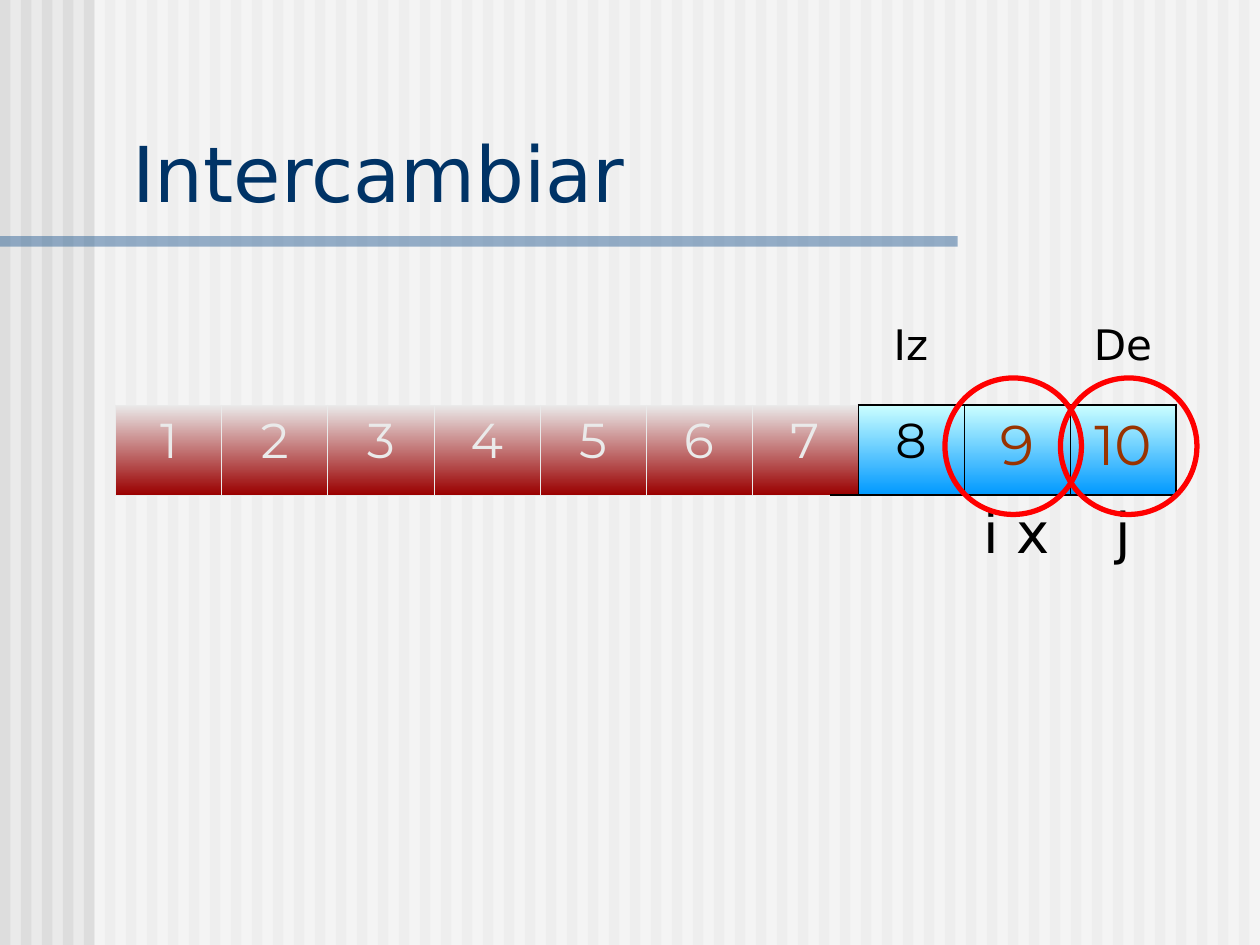
import pptx
import pptx.dml.color
import pptx.enum.shapes
import pptx.enum.text
import pptx.oxml
import pptx.oxml.ns
import pptx.util

Pt = pptx.util.Pt
RGBColor = pptx.dml.color.RGBColor
MSO_SHAPE = pptx.enum.shapes.MSO_SHAPE
PP_ALIGN = pptx.enum.text.PP_ALIGN
MSO_ANCHOR = pptx.enum.text.MSO_ANCHOR
MSO_AUTO_SIZE = pptx.enum.text.MSO_AUTO_SIZE
qn = pptx.oxml.ns.qn

PAPER = RGBColor(0xEA, 0xEA, 0xEA)
STRIPE = RGBColor(0xDD, 0xDD, 0xDD)
WHITE = RGBColor(0xFF, 0xFF, 0xFF)
BLACK = RGBColor(0x00, 0x00, 0x00)
NAVY = RGBColor(0x00, 0x33, 0x66)
RULE = RGBColor(0x33, 0x66, 0x99)
DARK_RED = RGBColor(0x9A, 0x00, 0x00)
RED = RGBColor(0xFF, 0x00, 0x00)
RUST = RGBColor(0x99, 0x33, 0x00)
PALE_CYAN = RGBColor(0xCC, 0xFF, 0xFF)
SKY = RGBColor(0x00, 0x99, 0xFF)

TEXT_FONT = "DejaVu Sans"
NUMBER_FONT = "Montserrat"
NO_STYLE = "{2D5ABB26-0587-4C30-8999-92F81FD0307C}"
LIGHT, THIN, THICK = (PAPER, 0.45), (BLACK, 0.45), (BLACK, 1.08)


class Deck:
    """Holds the style and the current slide."""

    def __init__(self, width, height):
        self.prs = pptx.Presentation()
        self.prs.slide_width, self.prs.slide_height = Pt(width), Pt(height)

    def add_slide(self, color):
        self.s = self.prs.slides.add_slide(self.prs.slide_layouts[5])
        fill = self.s.background.fill
        fill.solid()
        fill.fore_color.rgb = color

    def format_runs(self, p, size, font, color):
        for r in p.runs:
            r.font.size, r.font.name = Pt(size), font
            r.font.color.rgb = color

    def title(self, text, x, y, w, h):
        sp = self.s.shapes.title
        sp.left, sp.top, sp.width, sp.height = Pt(x), Pt(y), Pt(w), Pt(h)
        # Bring the title in front of the background
        sp.element.getparent().append(sp.element)
        tf = sp.text_frame
        tf.text = text
        tf.vertical_anchor = MSO_ANCHOR.BOTTOM
        tf.auto_size = MSO_AUTO_SIZE.SHAPE_TO_FIT_TEXT
        tf.paragraphs[0].alignment = PP_ALIGN.LEFT
        self.format_runs(tf.paragraphs[0], 44, TEXT_FONT, NAVY)

    def shape(self, kind, x, y, w, h):
        sp = self.s.shapes.add_shape(kind, Pt(x), Pt(y), Pt(w), Pt(h))
        sp.shadow.inherit = False
        return sp

    def band(self, x, y, w, h, color, alpha=None):
        sp = self.shape(MSO_SHAPE.RECTANGLE, x, y, w, h)
        sp.line.fill.background()
        sp.fill.solid()
        sp.fill.fore_color.rgb = color
        if alpha is not None:
            clr = sp.element.spPr.find(".//" + qn("a:srgbClr"))
            pptx.oxml.ns  # namespace helpers
            clr.append(pptx.oxml.parse_xml(
                '<a:alpha xmlns:a="http://schemas.openxmlformats.org/drawingml/2006/main"'
                f' val="{alpha * 1000}"/>'))

    def ring(self, x, y, size):
        sp = self.shape(MSO_SHAPE.OVAL, x, y, size, size)
        sp.fill.background()
        sp.line.color.rgb, sp.line.width = RED, Pt(3)

    def table(self, x, y, widths, row_height, rows):
        frame = self.s.shapes.add_table(rows, len(widths), Pt(x), Pt(y),
                                        Pt(sum(widths)), Pt(row_height * rows))
        table = frame.table
        table.first_row = table.horz_banding = False
        frame.element.find(".//" + qn("a:tableStyleId")).text = NO_STYLE
        for column, width in zip(table.columns, widths):
            column.width = Pt(width)
        for row in table.rows:
            row.height = Pt(row_height)
        return table

    def cell_text(self, cell, text, size, font, color):
        p = cell.text_frame.paragraphs[0]
        p.text = text
        p.alignment = PP_ALIGN.CENTER
        self.format_runs(p, size, font, color)

    def cell_gradient(self, cell, top, bottom):
        cell.fill.gradient()
        cell.fill.gradient_angle = 270
        for stop, color in zip(cell.fill.gradient_stops, (top, bottom)):
            stop.color.rgb = color

    def cell_borders(self, cell, **borders):
        tcPr = cell._tc.get_or_add_tcPr()
        sides = [side for side in "LRTB" if side in borders]
        for i, side in enumerate(sides):
            color, width = borders[side]
            tcPr.insert(i, pptx.oxml.parse_xml(
                f'<a:ln{side} xmlns:a="http://schemas.openxmlformats.org/drawingml/2006/main"'
                f' w="{Pt(width)}"><a:solidFill><a:srgbClr val="{color}"/>'
                f'</a:solidFill></a:ln{side}>'))


def main():
    deck = Deck(720, 540)
    deck.add_slide(PAPER)

    # Striped background, pale veil and title rule
    for i in range(60):
        deck.band(12 * i, 0, 6, 540, STRIPE)
    deck.band(54, 0, 666, 540, WHITE, 50)
    deck.band(0, 135, 547.2, 6, RULE, 50)

    # Array with a label row above and an index row below;
    # the seventh cell is split so that the last row can start inside it
    step = 60.6
    widths = [step] * 6 + [44.6, 16] + [step] * 3
    table = deck.table(66.2, 180, widths, 51.4, 3)
    for row, col in ((0, 6), (1, 6), (2, 7)):
        table.cell(row, col).merge(table.cell(row, col + 1))

    # Sorted cells
    for col in range(8):
        cell = table.cell(1, col)
        if col < 7:
            deck.cell_text(cell, str(col + 1), 28, NUMBER_FONT, PAPER)
        deck.cell_gradient(cell, PAPER, DARK_RED)
        right = LIGHT if col < 6 else THIN
        deck.cell_borders(cell, L=LIGHT, R=right, T=LIGHT, B=LIGHT)
        deck.cell_borders(table.cell(0, col), B=LIGHT)
        deck.cell_borders(table.cell(2, col), T=LIGHT if col < 7 else THICK)

    # Cells being sorted
    active = ((8, "8", 28, BLACK), (9, "9", 32, RUST), (10, "10", 32, RUST))
    for col, text, size, color in active:
        cell = table.cell(1, col)
        deck.cell_text(cell, text, size, NUMBER_FONT, color)
        deck.cell_gradient(cell, PALE_CYAN, SKY)
        right = THICK if col == 10 else THIN
        deck.cell_borders(cell, L=THIN, R=right, T=THICK, B=THICK)
        deck.cell_borders(table.cell(0, col), B=THICK)
        deck.cell_borders(table.cell(2, col), T=THICK)

    # Limits and indices
    labels = ((0, 8, "Iz", 24), (0, 10, "De", 24), (2, 9, "i x", 32), (2, 10, "j", 32))
    for row, col, text, size in labels:
        deck.cell_text(table.cell(row, col), text, size, TEXT_FONT, BLACK)

    deck.title("Intercambiar", 68.4, 67.7, 643, 60.5)

    # Rings around the pair to swap
    for x in (540, 606):
        deck.ring(x, 216, 78)

    deck.prs.save("out.pptx")


if __name__ == "__main__":
    main()
